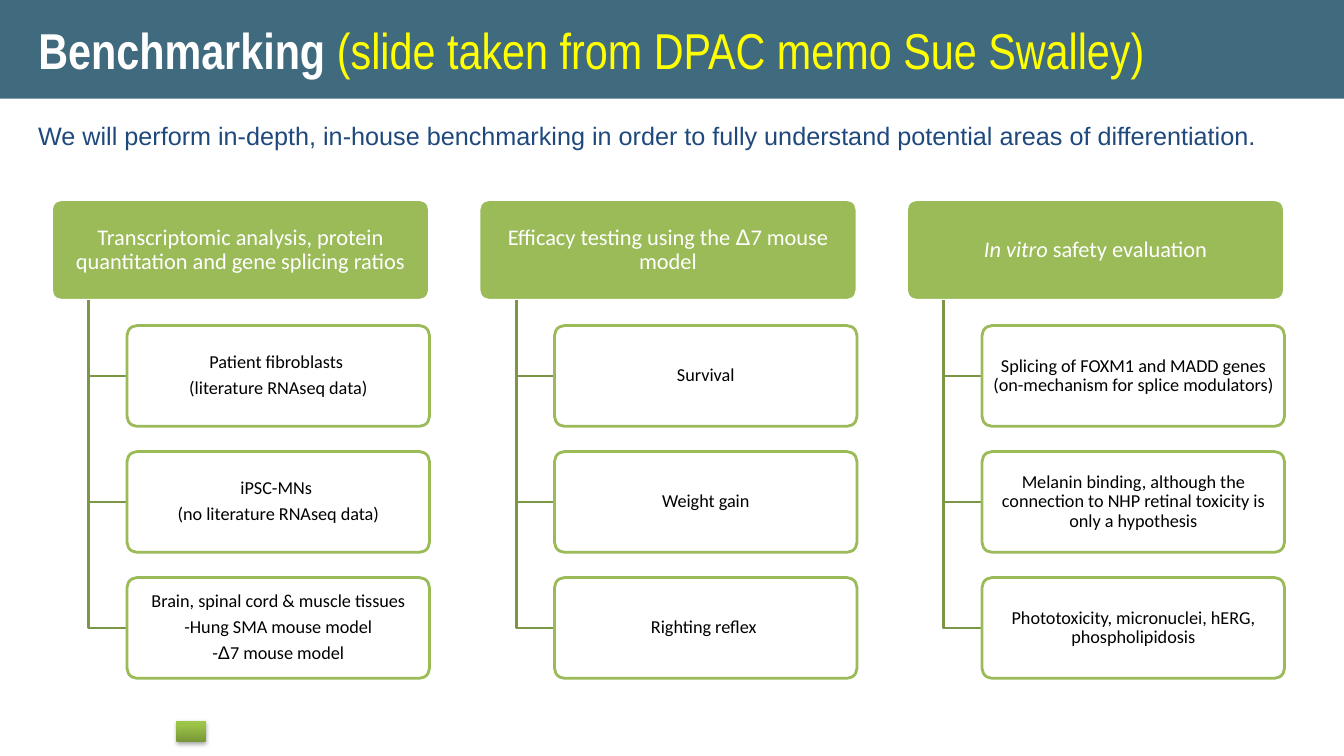
from copy import deepcopy

from lxml import etree
from pptx import Presentation, util as u
from pptx.dml.color import RGBColor
from pptx.enum import shapes, text
from pptx.oxml import ns, parse_xml

GREEN, DARK_GREEN, WHITE = "9BBB59", "7C9647", "FFFFFF"
COLUMN, ROW = 4.24, 1.25
LEFT, TOP = 0.51, 1.98
BOX_HEIGHT = 0.8 * ROW
HEADER_WIDTH, BOX_WIDTH = 3.75, 3
STEM_OFFSET, BOX_OFFSET = 0.37, 0.75

# Each column: header runs, then boxes made of paragraphs made of runs
columns = [
    (["Transcriptomic analysis, protein quantitation and gene splicing ratios"], [
        [["Patient fibroblasts "], ["(literature RNAseq data)"]],
        [["iPSC-MNs "], ["(no literature RNAseq data)"]],
        [["Brain, spinal cord & muscle tissues"], ["-Hung SMA mouse model"],
         ["-", "Δ", "7 mouse model"]],
    ]),
    (["Efficacy testing using the ", "Δ", "7 mouse model"], [
        [["Survival"]],
        [["Weight gain"]],
        [["Righting reflex "]],
    ]),
    (["In vitro ", "safety evaluation"], [
        [["Splicing of FOXM1 and MADD genes (on-mechanism for splice modulators)"]],
        [["Melanin binding, although the connection to NHP retinal toxicity is only a hypothesis"]],
        [["Phototoxicity, micronuclei, hERG, phospholipidosis"]],
    ]),
]

presentation = Presentation()
presentation.slide_width, presentation.slide_height = u.Inches(13.33), u.Inches(7.5)
slide = presentation.slides.add_slide(presentation.slide_layouts[6])


def paint(color_owner, color, opacity=100):
    """Make a fill solid, or colour a font or line, from a hex string."""
    fill = color_owner if hasattr(color_owner, "solid") else color_owner.fill
    fill.solid()
    fill.fore_color.rgb = RGBColor.from_string(color)
    if opacity < 100:
        color_element = fill.fore_color._xFill.find(ns.qn("a:srgbClr"))
        etree.SubElement(color_element, ns.qn("a:alpha"), val=str(opacity * 1000))


def add_card(left, top, width, paragraphs, size, font_color, fill_color, opacity, line_color):
    """Add a rounded box with centred text."""
    card = slide.shapes.add_shape(
        shapes.MSO_SHAPE.ROUNDED_RECTANGLE,
        *map(u.Inches, (left, top, width, BOX_HEIGHT)))
    card.adjustments[0] = 0.1
    card.shadow.inherit = False
    paint(card.fill, fill_color, opacity)
    paint(card.line, line_color)
    card.line.width = u.Pt(2)
    frame = card.text_frame
    frame.word_wrap = True
    frame.vertical_anchor = text.MSO_ANCHOR.MIDDLE
    frame.margin_left = frame.margin_right = u.Inches(0.06)
    frame.margin_top = frame.margin_bottom = u.Inches(0.05)
    for index, runs in enumerate(paragraphs):
        paragraph = frame.add_paragraph() if index else frame.paragraphs[0]
        paragraph.alignment = text.PP_ALIGN.CENTER
        paragraph.line_spacing = 0.9
        paragraph.space_after = u.Pt(0.35 * size)
        for words in runs:
            run = paragraph.add_run()
            run.text = words
            run.font.size = u.Pt(size)
            run.font.name = "Arial" if words == "Δ" else "Calibri"
            run.font.italic = words == "In vitro "
            paint(run.font, font_color)


# Title band
band = slide.shapes.add_shape(
    shapes.MSO_SHAPE.RECTANGLE, 0, 0, presentation.slide_width, u.Inches(0.98))
band.shadow.inherit = False
paint(band.fill, "013952", 75)
band.line.fill.background()
band.text_frame.word_wrap = True
band.text_frame.vertical_anchor = text.MSO_ANCHOR.MIDDLE
band.text_frame.margin_left = u.Inches(0.38)
title = band.text_frame.paragraphs[0]
title.alignment = text.PP_ALIGN.LEFT
for words, color, bold in [("Benchmarking ", WHITE, True),
                           ("(slide taken from DPAC memo Sue Swalley)", "FFFF00", False)]:
    run = title.add_run()
    run.text = words
    run.font.name, run.font.size, run.font.bold = "Arial Narrow", u.Pt(36), bold
    paint(run.font, color)

# Introductory sentence
intro = slide.shapes.add_textbox(*map(u.Inches, (0.28, 1.14, 12.86, 0.4)))
intro.text_frame.word_wrap = True
run = intro.text_frame.paragraphs[0].add_run()
run.text = ("We will perform in-depth, in-house benchmarking in order to fully "
            "understand potential areas of differentiation.")
run.font.name, run.font.size = "Arial", u.Pt(18)
paint(run.font, "1F497D")

# Three hierarchies of one header and three boxes
for column, (header, boxes) in enumerate(columns):
    left = LEFT + column * COLUMN
    add_card(left, TOP, HEADER_WIDTH, [header], 16, WHITE, GREEN, 100, WHITE)
    stem, box_left = left + STEM_OFFSET, left + BOX_OFFSET
    for row, paragraphs in enumerate(boxes, start=1):
        box_top = TOP + row * ROW
        middle = box_top + BOX_HEIGHT / 2
        builder = slide.shapes.build_freeform(
            u.Inches(stem), u.Inches(TOP + BOX_HEIGHT))
        builder.add_line_segments(
            [(u.Inches(stem), u.Inches(middle)), (u.Inches(box_left), u.Inches(middle))],
            close=False)
        elbow = builder.convert_to_shape()
        elbow.shadow.inherit = False
        elbow.fill.background()
        paint(elbow.line, DARK_GREEN)
        elbow.line.width = u.Pt(2)
        add_card(box_left, box_top, BOX_WIDTH, paragraphs, 13, "000000", WHITE, 90, GREEN)

# Small gradient marker with a soft shadow
marker = slide.shapes.add_shape(
    shapes.MSO_SHAPE.RECTANGLE, *map(u.Inches, (1.75, 7.15, 0.29, 0.21)))
marker.line.fill.background()
marker.fill.gradient()
marker.fill.gradient_angle = 90
stop_list = marker._element.spPr.find(ns.qn("a:gradFill")).find(ns.qn("a:gsLst"))
stop_list.append(deepcopy(stop_list[-1]))
for stop, (position, color) in zip(
        marker.fill.gradient_stops, [(0, "779737"), (0.8, "9BC348"), (1, "9DC746")]):
    stop.position = position
    stop.color.rgb = RGBColor.from_string(color)
marker._element.spPr.append(parse_xml(
    f'<a:effectLst {ns.nsdecls("a")}>'
    '<a:outerShdw blurRad="40000" dist="23000" dir="5400000" rotWithShape="0">'
    '<a:srgbClr val="000000"><a:alpha val="35000"/></a:srgbClr>'
    '</a:outerShdw></a:effectLst>'))

presentation.save("out.pptx")
